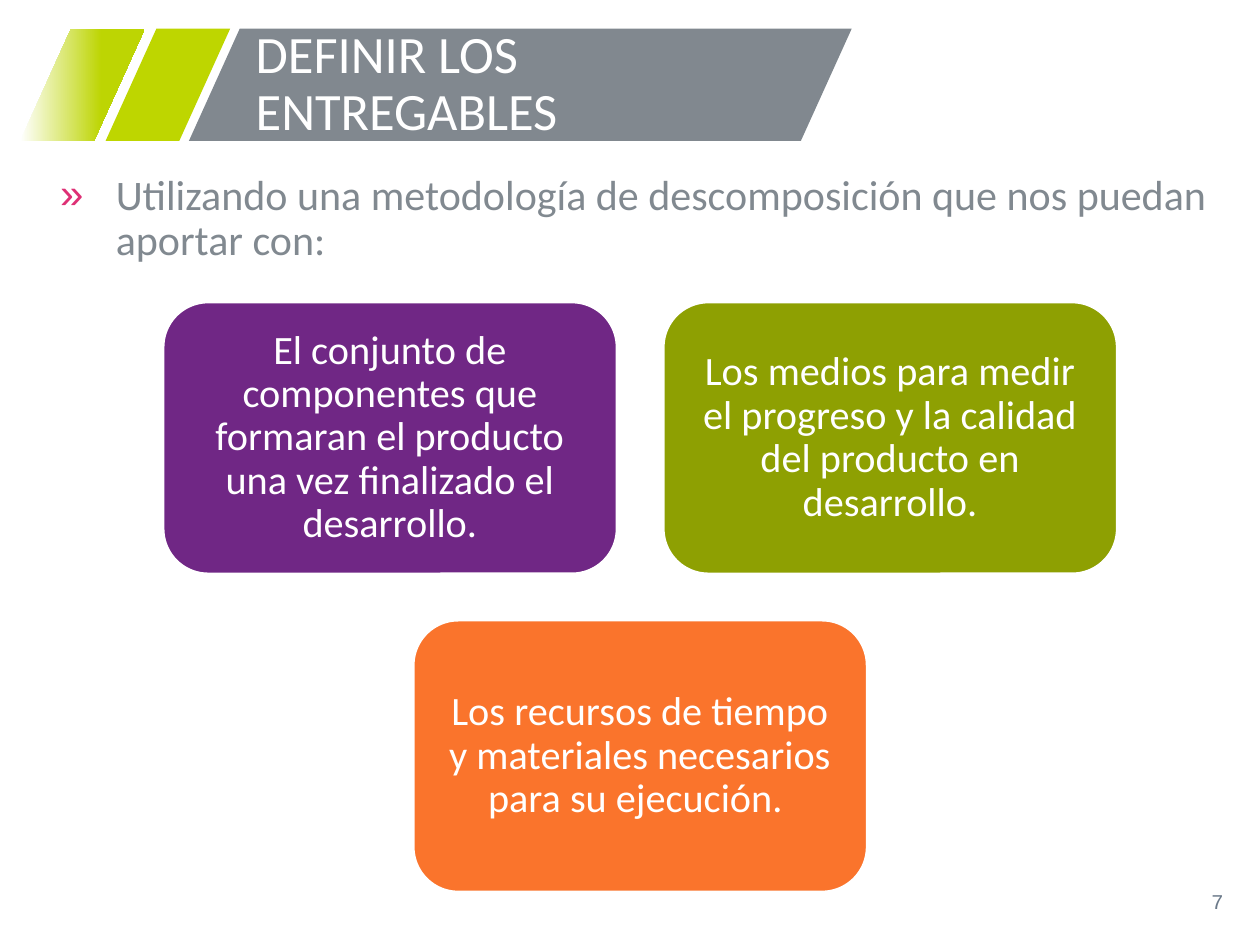
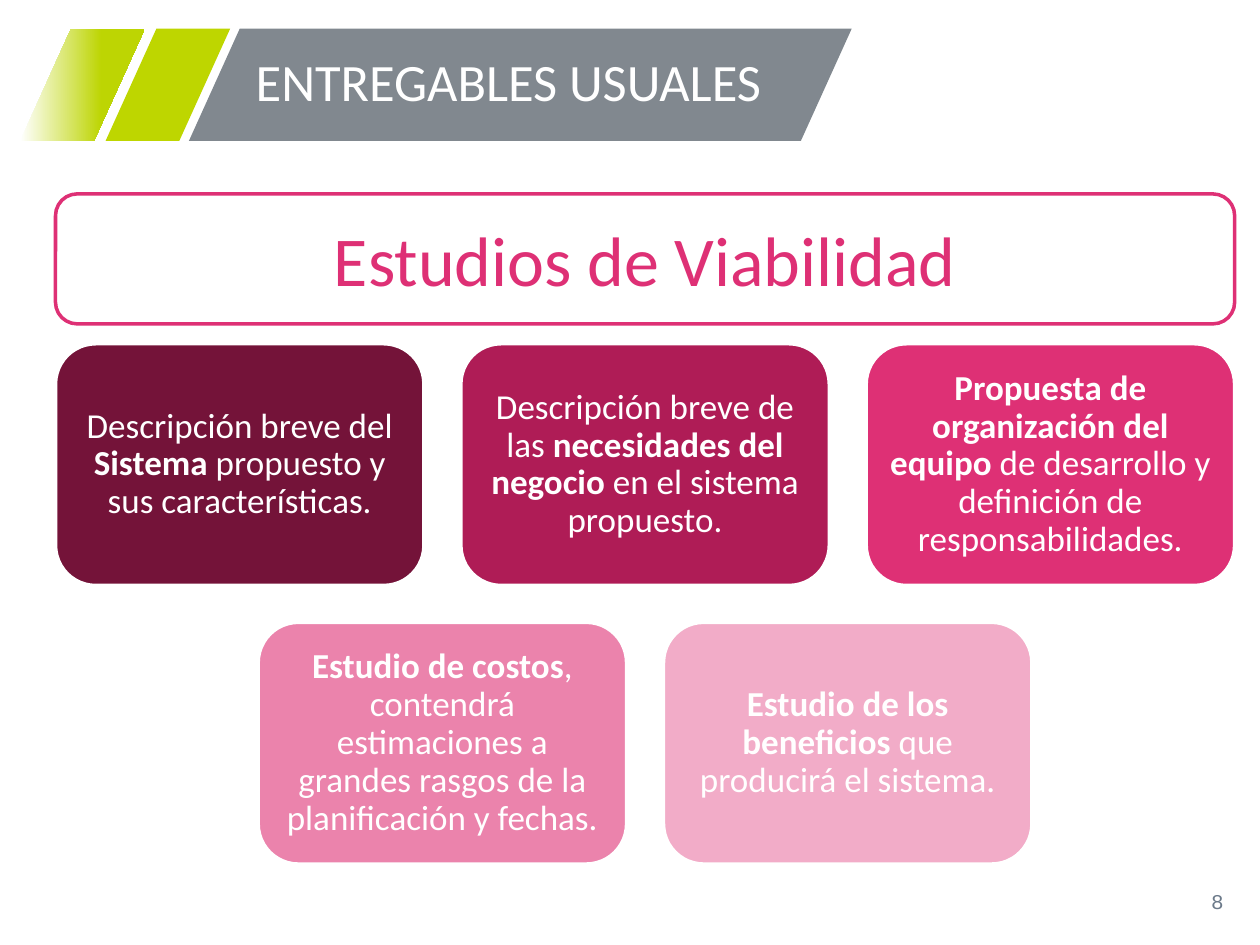
from collections import namedtuple

from lxml.etree import SubElement
from pptx import Presentation
from pptx.dml.color import RGBColor
from pptx.enum.shapes import MSO_SHAPE as Preset
from pptx.enum.text import MSO_ANCHOR as Anchor, MSO_AUTO_SIZE as AutoSize, PP_ALIGN as Align
from pptx.oxml.ns import qn
from pptx.util import Cm, Pt

Box = namedtuple("Box", "left top width height")

FONT = "Calibri"
NUMBER_FONT = "Courier New"
WHITE = "FFFFFF"
LIME = "BED600"
LIME_FADE = "BDD503"
BAND_GRAY = "81888F"
BODY_GRAY = "818990"
NUMBER_GRAY = "6C7A8A"
PINK = "DE3075"

HEADER = Box(0.41, 0.58, 16.76, 2.26)
TITLE = Box(4.9, 0.58, 11.91, 2.26)
NUMBER = Box(19.2, 17.65, 5.72, 1.02)
LAYOUT_TITLE_AND_BODY, LAYOUT_TITLE_ONLY = 1, 5
CARD_GAP = 0.1


def rgb(color):
    return RGBColor.from_string(color)


def place(shape, box):
    shape.left, shape.top, shape.width, shape.height = map(Cm, box)


def format_text(text_frame, size, color, align=Align.LEFT, anchor=Anchor.MIDDLE,
                font=FONT, spacing=0.9):
    text_frame.word_wrap = True
    text_frame.auto_size = AutoSize.NONE
    text_frame.vertical_anchor = anchor
    for paragraph in text_frame.paragraphs:
        paragraph.alignment = align
        paragraph.line_spacing = spacing
        paragraph.space_before = Pt(0)
        for run in paragraph.runs:
            run.font.name = font
            run.font.size = Pt(size)
            run.font.color.rgb = rgb(color)


def add_preset(slide, preset, box, fill, line=None):
    shape = slide.shapes.add_shape(preset, *map(Cm, box))
    shape.shadow.inherit = False
    shape.fill.solid()
    shape.fill.fore_color.rgb = rgb(fill)
    if line:
        shape.line.color.rgb = rgb(line)
        shape.line.width = Pt(2)
    else:
        shape.line.fill.background()
    return shape


def add_header_to_master(slide, box):
    stripe_width = 2.51
    band_left = 3.4
    parts = [(1.72, stripe_width, LIME), (0, stripe_width, LIME_FADE),
             (band_left, box.width - band_left, BAND_GRAY)]
    bands = []
    for offset, width, color in parts:
        band = add_preset(slide, Preset.PARALLELOGRAM,
                          Box(box.left + offset, box.top, width, box.height), color)
        band.adjustments[0] = 0.453
        bands.append(band)

    fade = bands[1].fill
    fade.gradient()
    fade.gradient_angle = 0
    for stop, position, color in zip(fade.gradient_stops, (0, 0.65), (WHITE, LIME_FADE)):
        stop.position = position
        stop.color.rgb = rgb(color)

    master_tree = slide.slide_layout.slide_master.shapes._spTree
    for shape_id, band in enumerate(bands, start=101):
        band._element.nvSpPr.cNvPr.set("id", str(shape_id))
        master_tree.append(band._element)


def add_titled_slide(presentation, layout_index, title, number):
    slide = presentation.slides.add_slide(presentation.slide_layouts[layout_index])
    place(slide.shapes.title, TITLE)
    slide.shapes.title.text_frame.text = title
    format_text(slide.shapes.title.text_frame, 30, WHITE)

    number_box = slide.shapes.add_textbox(*map(Cm, NUMBER))
    number_box.text_frame.text = str(number)
    format_text(number_box.text_frame, 12, NUMBER_GRAY, Align.RIGHT, font=NUMBER_FONT, spacing=1)
    return slide


def fill_body(slide, box, text):
    body = slide.placeholders[1]
    place(body, box)
    body.text_frame.text = text
    properties = body.text_frame.paragraphs[0]._p.get_or_add_pPr()
    properties.set("marL", str(Cm(1.27)))
    properties.set("indent", str(Cm(-1.12)))
    bullet_color = SubElement(properties, qn("a:buClr"))
    SubElement(bullet_color, qn("a:srgbClr")).set("val", PINK)
    SubElement(properties, qn("a:buChar")).set("char", "»")
    format_text(body.text_frame, 24, BODY_GRAY, Align.JUSTIFY, Anchor.TOP)


def add_card(slide, box, fill, pieces, size, inset):
    card = add_preset(slide, Preset.ROUNDED_RECTANGLE, box, fill, WHITE)
    text_frame = card.text_frame
    text_frame.margin_left = text_frame.margin_right = Cm(inset)
    text_frame.margin_top = text_frame.margin_bottom = Cm(inset)
    for text, bold in pieces:
        run = text_frame.paragraphs[0].add_run()
        run.text = text
        run.font.bold = bold
    format_text(text_frame, size, WHITE, Align.CENTER)


def add_card_grid(slide, box, columns, cards, size, inset):
    rows = [cards[start:start + columns] for start in range(0, len(cards), columns)]
    width = box.width / (columns + CARD_GAP * (columns - 1))
    gap = CARD_GAP * width
    height = (box.height - gap * (len(rows) - 1)) / len(rows)
    for row_index, row in enumerate(rows):
        row_width = len(row) * (width + gap) - gap
        row_left = box.left + (box.width - row_width) / 2
        top = box.top + row_index * (height + gap)
        for column, (fill, pieces) in enumerate(row):
            card_box = Box(row_left + column * (width + gap), top, width, height)
            add_card(slide, card_box, fill, pieces, size, inset)


def add_heading_frame(slide, box, text):
    frame = add_preset(slide, Preset.ROUNDED_RECTANGLE, box, WHITE, PINK)
    frame.text_frame.text = text
    format_text(frame.text_frame, 40, PINK, Align.CENTER, spacing=1)


def build_definition_slide(presentation):
    slide = add_titled_slide(presentation, LAYOUT_TITLE_AND_BODY, "DEFINIR LOS ENTREGABLES", 7)
    fill_body(slide, Box(0.81, 3.38, 23.77, 1.98),
              "Utilizando una metodología de descomposición que nos puedan aportar con:")
    cards = [
        ("702785", [("El conjunto de componentes que formaran el producto "
                     "una vez finalizado el desarrollo.", False)]),
        ("8EA002", [("Los medios para medir el progreso y la calidad "
                     "del producto en desarrollo.", False)]),
        ("FA742C", [("Los recursos de tiempo y materiales necesarios "
                     "para su ejecución. ", False)]),
    ]
    add_card_grid(slide, Box(3.28, 6.08, 19.25, 11.91), 2, cards, 23, 0.25)
    return slide


def build_usual_deliverables_slide(presentation):
    slide = add_titled_slide(presentation, LAYOUT_TITLE_ONLY, "ENTREGABLES USUALES", 8)
    cards = [
        ("741339", [("Descripción breve del ", False), ("Sistema", True),
                    (" propuesto y sus características.", False)]),
        ("AF1C56", [("Descripción breve de las ", False), ("necesidades del negocio ", True),
                    ("en el sistema propuesto.", False)]),
        (PINK, [("Propuesta de organización del equipo ", True),
                ("de desarrollo y definición de responsabilidades.", False)]),
        ("EB83AC", [("Estudio de costos", True),
                    (", contendrá estimaciones a grandes rasgos de la "
                     "planificación y fechas.", False)]),
        ("F2ACC8", [("Estudio de los beneficios ", True),
                    ("que producirá el sistema.", False)]),
    ]
    add_card_grid(slide, Box(1.12, 6.93, 23.77, 10.49), 3, cards, 20, 0.2)
    add_heading_frame(slide, Box(1.12, 3.91, 23.77, 2.62), "Estudios de Viabilidad")


def main():
    presentation = Presentation()
    presentation.slide_width = Cm(25.4)
    presentation.slide_height = Cm(19.05)
    first_slide = build_definition_slide(presentation)
    add_header_to_master(first_slide, HEADER)
    build_usual_deliverables_slide(presentation)
    presentation.save("out.pptx")


if __name__ == "__main__":
    main()
